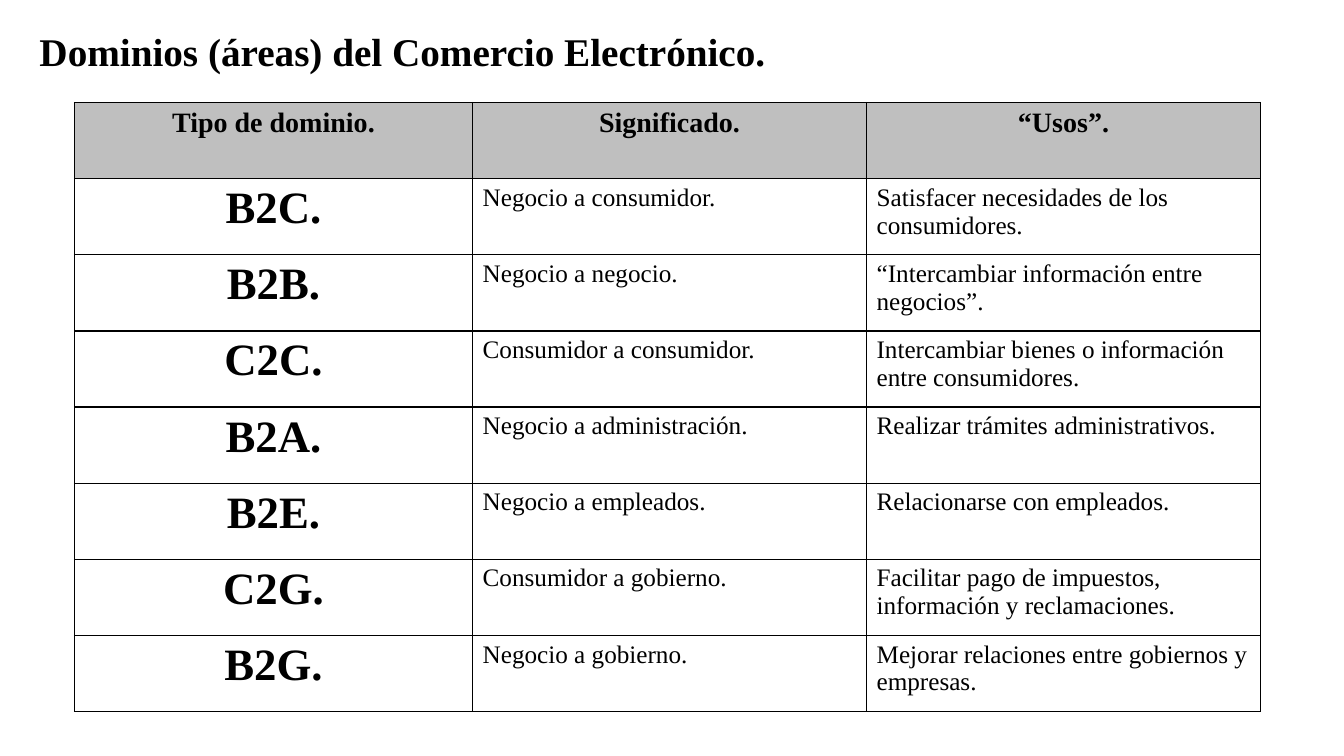
from dataclasses import dataclass

from lxml import etree
from pptx import Presentation
from pptx.dml.color import RGBColor
from pptx.enum.text import MSO_ANCHOR, PP_ALIGN
from pptx.oxml.ns import qn
from pptx.util import Pt

LEFT, CENTER = PP_ALIGN.LEFT, PP_ALIGN.CENTER
TOP, MIDDLE = MSO_ANCHOR.TOP, MSO_ANCHOR.MIDDLE
TITLE_ONLY = 5


@dataclass(frozen=True)
class Theme:
    font: str = "Times New Roman"
    ink: str = "000000"
    head: str = "BFBFBF"
    paper: str = "FFFFFF"
    title: int = 28
    label: int = 20
    code: int = 32
    body: int = 18
    rule: int = 1


HEADS = ("Tipo de dominio.", "Significado.", "“Usos”.")
ROWS = (
    ("B2C.", "Negocio a consumidor.", "Satisfacer necesidades de los consumidores."),
    ("B2B.", "Negocio a negocio.", "“Intercambiar información entre negocios”."),
    ("C2C.", "Consumidor a consumidor.",
     "Intercambiar bienes o información entre consumidores."),
    ("B2A.", "Negocio a administración.", "Realizar trámites administrativos."),
    ("B2E.", "Negocio a empleados.", "Relacionarse con empleados."),
    ("C2G.", "Consumidor a gobierno.",
     "Facilitar pago de impuestos, información y reclamaciones."),
    ("B2G.", "Negocio a gobierno.", "Mejorar relaciones entre gobiernos y empresas."),
)


def write(frame, text, *, font, size, color, bold=False, align=LEFT):
    """Put one formatted paragraph in a text frame."""
    frame.word_wrap = True
    para = frame.paragraphs[0]
    para.alignment = align
    run = para.add_run()
    run.text = text
    run.font.name = font
    run.font.size = Pt(size)
    run.font.bold = bold
    run.font.color.rgb = RGBColor.from_string(color)


class Page:
    def __init__(self, deck, theme):
        self.theme = theme
        self.slide = deck.slides.add_slide(deck.slide_layouts[TITLE_ONLY])
        fill = self.slide.background.fill
        fill.solid()
        fill.fore_color.rgb = RGBColor.from_string(theme.paper)

    def text(self, frame, words, **style):
        write(frame, words, font=self.theme.font, color=self.theme.ink, **style)

    def title(self, words, left, top, width, height):
        box = self.slide.shapes.title
        box.left, box.top = Pt(left), Pt(top)
        box.width, box.height = Pt(width), Pt(height)
        box.text_frame.vertical_anchor = MIDDLE
        self.text(box.text_frame, words, size=self.theme.title, bold=True)

    def border(self, cell):
        props = cell._tc.get_or_add_tcPr()
        for spot, side in enumerate(("lnL", "lnR", "lnT", "lnB")):
            line = etree.Element(qn(f"a:{side}"), w=str(Pt(self.theme.rule)))
            fill = etree.SubElement(line, qn("a:solidFill"))
            etree.SubElement(fill, qn("a:srgbClr"), val=self.theme.ink)
            props.insert(spot, line)

    def cell(self, cell, words, head, first):
        look = self.theme
        if head:
            cell.fill.solid()
            cell.fill.fore_color.rgb = RGBColor.from_string(look.head)
        else:
            cell.fill.background()
        cell.vertical_anchor = TOP
        self.border(cell)
        size = look.label if head else look.code if first else look.body
        strong = head or first
        self.text(cell.text_frame, words, size=size, bold=strong,
                  align=CENTER if strong else LEFT)

    def table(self, rows, left, top, widths, pitch):
        grid = self.slide.shapes.add_table(
            len(rows), len(widths), Pt(left), Pt(top),
            Pt(sum(widths)), Pt(pitch * len(rows))).table
        for col, width in zip(grid.columns, widths):
            col.width = Pt(width)
        for r, row in enumerate(rows):
            grid.rows[r].height = Pt(pitch)
            for c, words in enumerate(row):
                self.cell(grid.cell(r, c), words, head=r == 0, first=c == 0)


def main():
    deck = Presentation()
    deck.slide_width, deck.slide_height = Pt(960), Pt(540)
    page = Page(deck, Theme())

    # Heading
    page.title("Dominios (áreas) del Comercio Electrónico.", 21, 16, 706, 41)

    # Domains, one per row
    page.table((HEADS, *ROWS), 53.2, 73.2, (284.4, 281.4, 281.4), 54.4)

    deck.save("out.pptx")


if __name__ == "__main__":
    main()
